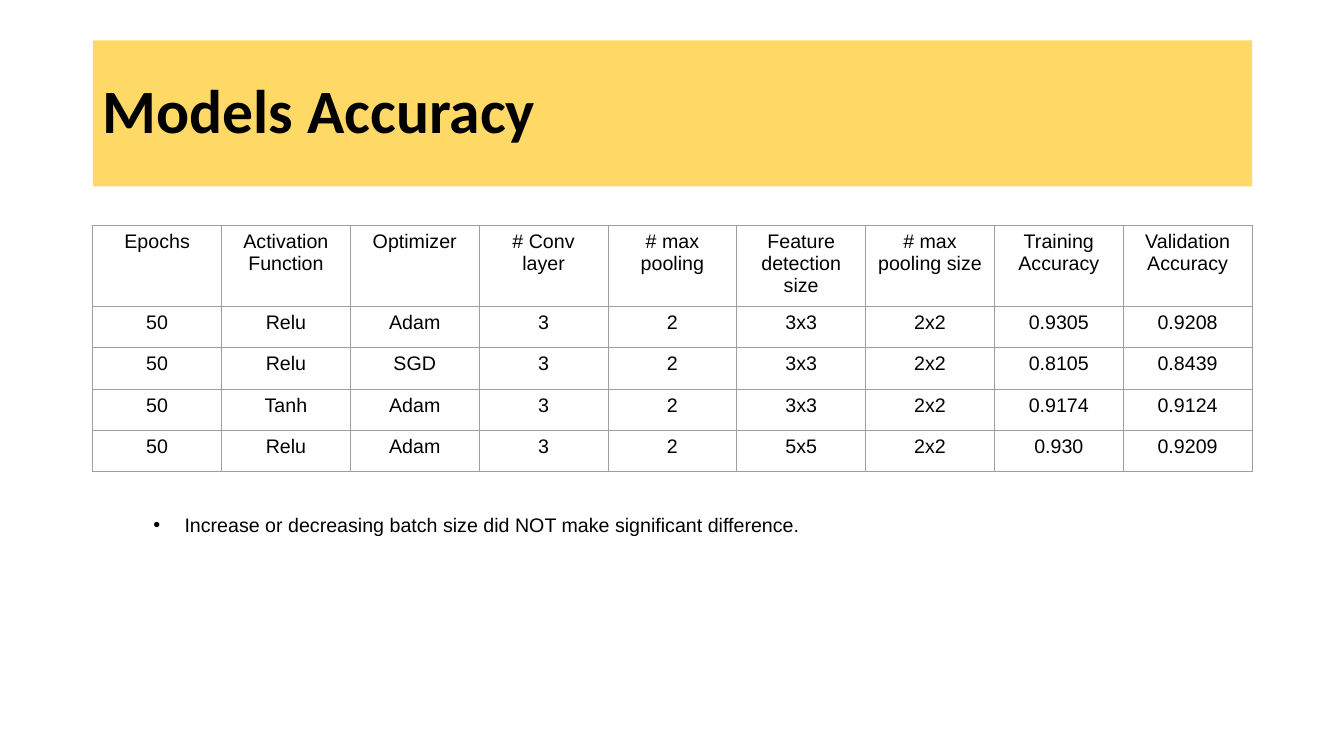
import pptx
import pptx.util
import pptx.dml.color
import pptx.enum.text
import pptx.oxml
import pptx.oxml.ns

Inches = pptx.util.Inches
Pt = pptx.util.Pt
Align = pptx.enum.text.PP_ALIGN
Anchor = pptx.enum.text.MSO_ANCHOR
Fit = pptx.enum.text.MSO_AUTO_SIZE

COLORS = {"text": "000000", "band": "FFD966", "grid": "9E9E9E"}
NS = pptx.oxml.ns.nsdecls("a")

MODELS = [
    ["Epochs", "Activation Function", "Optimizer", "# Conv layer", "# max pooling",
     "Feature detection size", "# max pooling size", "Training Accuracy",
     "Validation Accuracy"],
    ["50", "Relu", "Adam", "3", "2", "3x3", "2x2", "0.9305", "0.9208"],
    ["50", "Relu", "SGD", "3", "2", "3x3", "2x2", "0.8105", "0.8439"],
    ["50", "Tanh", "Adam", "3", "2", "3x3", "2x2", "0.9174", "0.9124"],
    ["50", "Relu", "Adam", "3", "2", "5x5", "2x2", "0.930", "0.9209"],
]


def color(name):
    return pptx.dml.color.RGBColor.from_string(COLORS[name])


class Page:
    """Holds the current slide and the style shared by its elements."""

    def __init__(self, deck):
        self.slide = deck.slides.add_slide(deck.slide_layouts[1])
        self.left = Inches(0.92)
        self.width = Inches(11.5)

    def style(self, para, font="Arial", size=14, bold=False, align=Align.LEFT):
        para.alignment = align
        for run in para.runs:
            run.font.name = font
            run.font.size = Pt(size)
            run.font.bold = bold
            run.font.color.rgb = color("text")

    def place(self, shape, top, width, height):
        shape.left, shape.top = self.left, Inches(top)
        shape.width, shape.height = width, Inches(height)

    def title(self, text):
        shape = self.slide.shapes.title
        self.place(shape, 0.4, self.width, 1.45)
        shape.fill.solid()
        shape.fill.fore_color.rgb = color("band")
        frame = shape.text_frame
        frame.text = text
        frame.auto_size = Fit.NONE
        frame.vertical_anchor = Anchor.MIDDLE
        para = frame.paragraphs[0]
        para.line_spacing = 0.9
        self.style(para, "Calibri", 44, True)

    def border(self, cell):
        """Draw a thin line on all four sides of the cell."""
        props = cell._tc.get_or_add_tcPr()
        for spot, side in enumerate(("lnL", "lnR", "lnT", "lnB")):
            line = pptx.oxml.parse_xml(
                f'<a:{side} {NS} w="{Pt(0.75)}"><a:solidFill>'
                f'<a:srgbClr val="{COLORS["grid"]}"/></a:solidFill></a:{side}>')
            props.insert(spot, line)

    def table(self, rows, top, height):
        shape = self.slide.shapes.add_table(
            len(rows), len(rows[0]), self.left, Inches(top), self.width, Inches(height))
        grid = shape.table
        grid.first_row = grid.horz_banding = False
        for r, row in enumerate(rows):
            for c, text in enumerate(row):
                cell = grid.cell(r, c)
                cell.text = text
                cell.fill.background()
                self.border(cell)
                self.style(cell.text_frame.paragraphs[0], align=Align.CENTER)

    def bullet(self, text, top):
        shape = self.slide.placeholders[1]
        self.place(shape, top, Inches(7.74), 0.34)
        frame = shape.text_frame
        frame.text = text
        frame.auto_size = Fit.SHAPE_TO_FIT_TEXT
        para = frame.paragraphs[0]
        para.level = 1
        para.space_before = Pt(0)
        self.style(para)
        props = para._p.get_or_add_pPr()
        props.set("marL", str(Inches(0.81)))
        props.set("indent", str(Inches(-0.31)))
        for mark in (f'<a:buClr {NS}><a:srgbClr val="{COLORS["text"]}"/></a:buClr>',
                     f'<a:buFont {NS} typeface="Arial"/>',
                     f'<a:buChar {NS} char="•"/>'):
            props.append(pptx.oxml.parse_xml(mark))


def main():
    deck = pptx.Presentation()
    deck.slide_width, deck.slide_height = Inches(13.33), Inches(7.5)
    page = Page(deck)
    page.title("Models Accuracy")
    page.table(MODELS, 2.24, 0.41 * len(MODELS))
    page.bullet("Increase or decreasing batch size did NOT make significant difference.", 5.04)
    deck.save("out.pptx")


if __name__ == "__main__":
    main()
